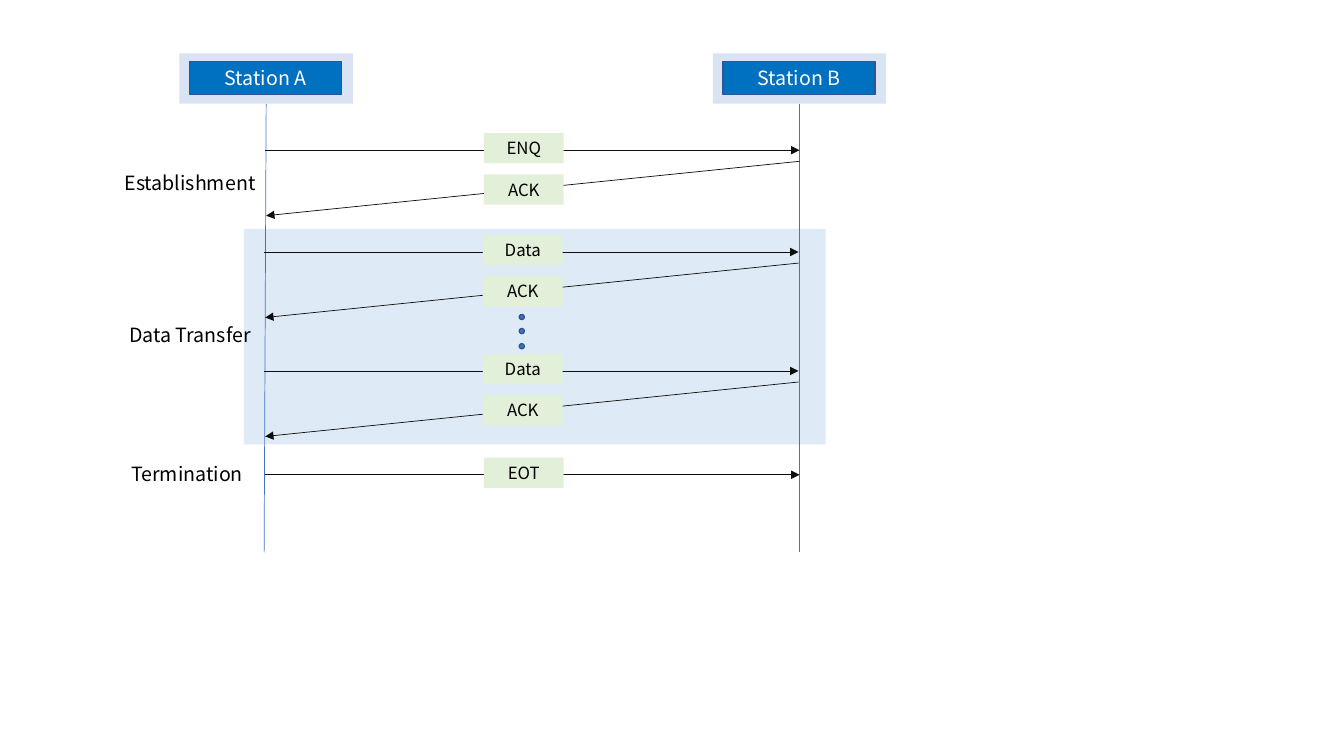
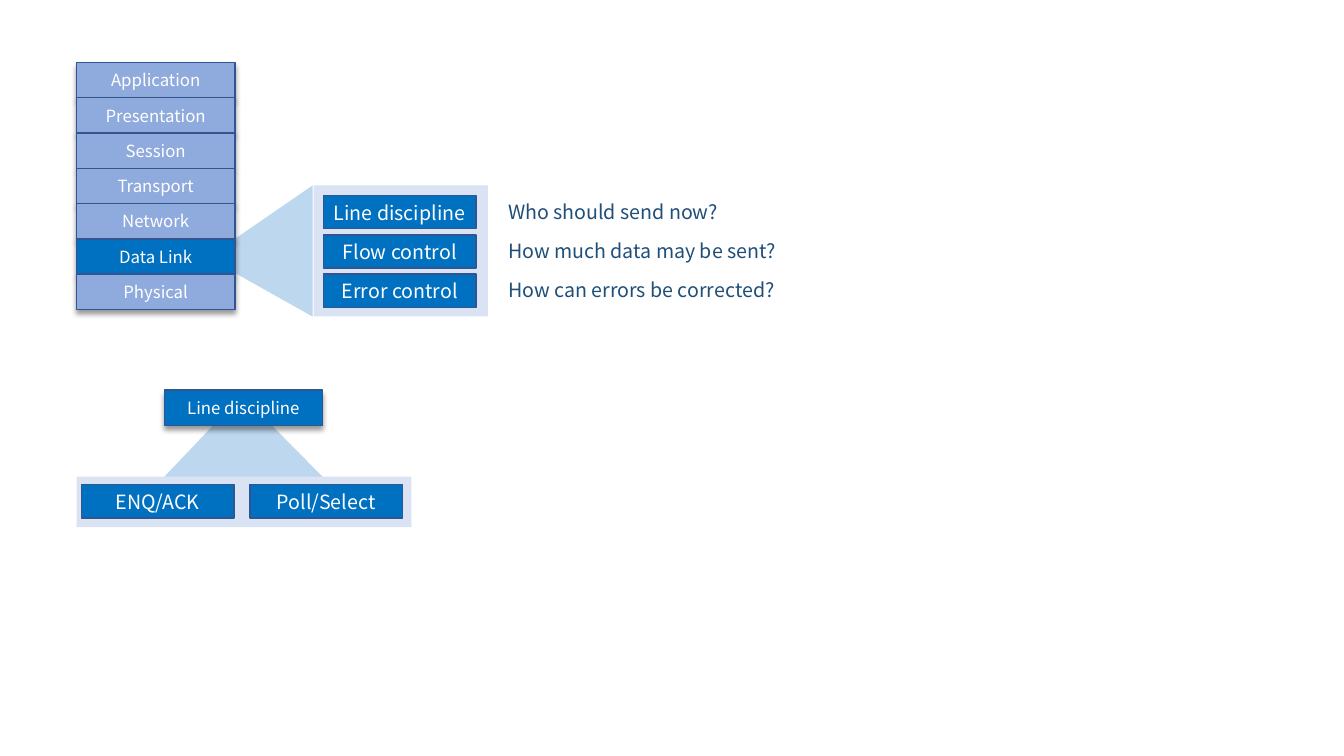
import pptx
import pptx.dml.color
import pptx.enum.shapes
import pptx.enum.text
import pptx.oxml
import pptx.oxml.ns
import pptx.util

PX = 9144
FONT = "Noto Sans CJK KR"
WHITE, BLACK, NAVY = "FFFFFF", "000000", "1F4E79"
BLUE, EDGE, LIFELINE, ARROW = "0070C0", "325491", "4472C4", "0D0D0D"
FRAME, BAND, SIGNAL, LAYER, BEAM = "DAE3F3", "DEEBF7", "E2F0D9", "8FAADC", "BDD7EE"
BUTTON_W, BUTTON_H, FRAME_H = 151, 33, 50
LAYER_W, LAYER_H = 157, 35
SHAPE = pptx.enum.shapes.MSO_SHAPE
ALIGN = pptx.enum.text.PP_ALIGN
ANCHOR = pptx.enum.text.MSO_ANCHOR


def px(*lengths):
    """Turn pixel lengths into EMU."""
    return [pptx.util.Emu(n * PX) for n in lengths]


def rgb(color):
    """Turn a hex string into a colour."""
    return pptx.dml.color.RGBColor.from_string(color)


def add_xml(parent, xml):
    """Append a DrawingML fragment to an element."""
    ns = pptx.oxml.ns.nsdecls("a")
    parent.append(pptx.oxml.parse_xml(xml.replace(">", f" {ns}>", 1)
                                      if "/>" not in xml.split(">")[0] + ">"
                                      else xml.replace("/>", f" {ns}/>", 1)))


def write(sp, text, size, color, align=ALIGN.CENTER):
    """Put one styled paragraph into a shape."""
    tf = sp.text_frame
    tf.word_wrap = True
    p = tf.paragraphs[0]
    p.text = text
    p.alignment = align
    p.font.name = FONT
    p.font.size = pptx.util.Pt(size)
    p.font.color.rgb = rgb(color)


def shape(s, box, fill, line=None, kind=SHAPE.RECTANGLE):
    """Draw a flat preset shape."""
    sp = s.shapes.add_shape(kind, *px(*box))
    sp.shadow.inherit = False
    sp.fill.solid()
    sp.fill.fore_color.rgb = rgb(fill)
    if line:
        sp.line.color.rgb = rgb(line)
        sp.line.width = pptx.util.Pt(1)
    else:
        sp.line.fill.background()
    return sp


def block(s, box, text, size, fill, line=None, color=WHITE):
    """Draw a rectangle with centred text."""
    sp = shape(s, box, fill, line)
    tf = sp.text_frame
    tf.margin_left = tf.margin_right = tf.margin_top = tf.margin_bottom = 0
    tf.vertical_anchor = ANCHOR.MIDDLE
    write(sp, text, size, color)
    return sp


def button(s, x, y, text):
    """Draw a blue button."""
    block(s, (x, y, BUTTON_W, BUTTON_H), text, 14, BLUE, EDGE)


def layer(s, x, y, text, fill):
    """Draw a layer block that casts a soft shadow."""
    sp = block(s, (x, y, LAYER_W, LAYER_H), text, 12, fill, EDGE)
    effects = sp._element.spPr.find(pptx.oxml.ns.qn("a:effectLst"))
    add_xml(effects, '<a:outerShdw blurRad="50800" dist="38100" dir="5400000" algn="t" rotWithShape="0">'
                     '<a:srgbClr val="000000"><a:alpha val="40000"/></a:srgbClr></a:outerShdw>')


def label(s, x, y, w, text, color, align=ALIGN.CENTER):
    """Write a free line of text."""
    sp = s.shapes.add_textbox(*px(x, y, w, 34))
    write(sp, text, 14, color, align)


def line(s, start, end, color, arrow=False):
    """Draw a thin straight line, with an arrowhead if asked."""
    kind = pptx.enum.shapes.MSO_CONNECTOR.STRAIGHT
    c = s.shapes.add_connector(kind, *px(*start, *end))
    c.line.color.rgb = rgb(color)
    c.line.width = pptx.util.Pt(0.5)
    spPr = c._element.spPr
    if arrow:
        add_xml(spPr.find(pptx.oxml.ns.qn("a:ln")), '<a:tailEnd type="triangle"/>')
    add_xml(spPr, "<a:effectLst/>")


def beam(s, box, tip, rotation=0):
    """Draw a pale triangle that opens from a block to its details."""
    sp = shape(s, box, BEAM, kind=SHAPE.ISOSCELES_TRIANGLE)
    sp.adjustments[0] = tip
    sp.rotation = rotation


def station(s, x, text):
    """Draw a framed station head."""
    shape(s, (x, 53, 172, FRAME_H), FRAME)
    button(s, x + 10, 61, text)


def signal(s, x, y, text):
    """Draw a message tag."""
    block(s, (x, y, 79, 30), text, 12, SIGNAL, color=BLACK)


def send(s, x, y, text):
    """Draw a message from station A to station B."""
    line(s, (x, y), (x + 530, y), ARROW, True)
    signal(s, x + 217, y - 17, text)


def exchange(s, x, y, text):
    """Draw a message and its acknowledgement."""
    send(s, x, y, text)
    line(s, (x + 530, y + 11), (x + 1, y + 65), ARROW, True)
    signal(s, x + 217, y + 24, "ACK")


def handshake_slide(prs):
    """Build the message sequence between two stations."""
    s = prs.slides.add_slide(prs.slide_layouts[6])
    shape(s, (242, 227, 577, 214), BAND)
    station(s, 178, "Station A")
    station(s, 707, "Station B")
    line(s, (264, 103), (262, 548), LIFELINE)
    line(s, (793, 103), (793, 548), LIFELINE)
    for x, y, text in ((263, 149, "ENQ"), (262, 250, "Data"), (262, 368, "Data")):
        exchange(s, x, y, text)
    for i in range(3):
        shape(s, (515, 312 + 29 * i // 2, 5, 5), LIFELINE, EDGE, SHAPE.OVAL)
    send(s, 263, 471, "EOT")
    for x, y, text in ((113, 165, "Establishment"), (113, 315, "Data Transfer"),
                       (110, 453, "Termination")):
        label(s, x, y, BUTTON_W, text, BLACK)


def data_link_slide(prs):
    """Build the layer stack with the data link functions."""
    s = prs.slides.add_slide(prs.slide_layouts[6])
    beam(s, (193, 197, 130, 104), 0.45, 270)
    layers = ("Application", "Presentation", "Session", "Transport",
              "Network", "Data Link", "Physical")
    for i, name in enumerate(layers):
        layer(s, 76, 62 + i * LAYER_H, name, BLUE if name == "Data Link" else LAYER)
    shape(s, (311, 184, 173, 130), FRAME)
    functions = (("Line discipline", "Who should send now?"),
                 ("Flow control", "How much data may be sent?"),
                 ("Error control", "How can errors be corrected?"))
    for i, (name, question) in enumerate(functions):
        y = 194 + 39 * i
        button(s, 321, y, name)
        label(s, 494, y - 1, 288, question, NAVY, ALIGN.LEFT)
    beam(s, (163, 392, LAYER_W, 81), 0.49)
    layer(s, 163, 387, "Line discipline", BLUE)
    shape(s, (76, 473, 332, FRAME_H), FRAME)
    for i, name in enumerate(("ENQ/ACK", "Poll/Select")):
        button(s, 81 + 167 * i, 481, name)


def main():
    """Build and save the presentation."""
    prs = pptx.Presentation()
    prs.slide_width, prs.slide_height = px(1333, 750)
    handshake_slide(prs)
    data_link_slide(prs)
    prs.save("out.pptx")


if __name__ == "__main__":
    main()
